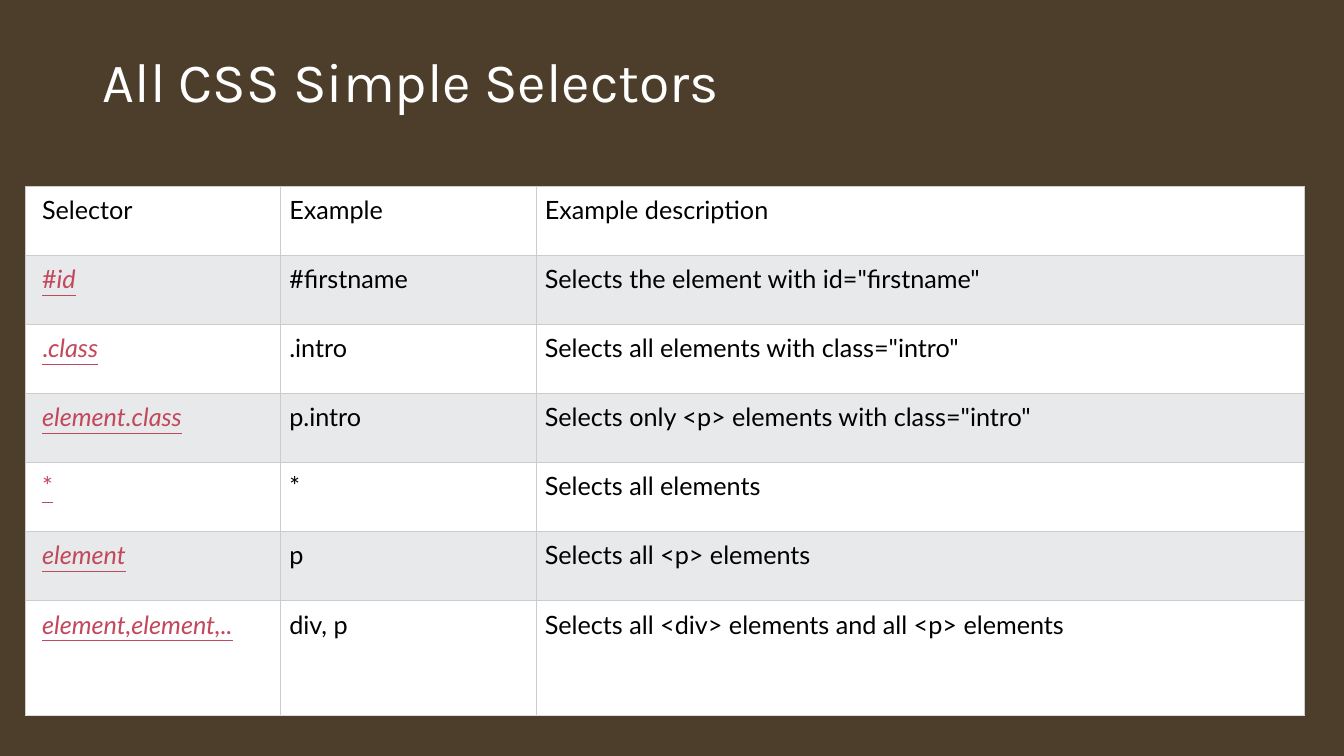
from dataclasses import dataclass

from lxml.etree import SubElement
from pptx import Presentation
from pptx.dml.color import RGBColor
from pptx.enum.shapes import MSO_SHAPE
from pptx.enum.text import MSO_ANCHOR, PP_ALIGN
from pptx.oxml.ns import qn
from pptx.slide import Slide
from pptx.table import _Cell as Cell
from pptx.text.text import _Run as Run
from pptx.util import Cm, Pt

SLIDE_WIDTH = 33.87
SLIDE_HEIGHT = 19.05

BROWN = "4C3E2B"
WHITE = "FFFFFF"
BLACK = "000000"
STRIPE = "E7E9EB"
LINK = "C2485B"
GRID = "CCCCCC"
LAST_EDGE = "DDDDDD"

HEADINGS = ("Selector", "Example", "Example description")
COLUMN_WIDTHS = (6.44, 6.44, 19.36)
ROW_HEIGHT = 1.74
LAST_ROW_HEIGHT = 2.88


@dataclass
class Selector:
    prefix: str
    name: str
    example: str
    description: str


SELECTORS = (
    Selector("#", "id", "#firstname", 'Selects the element with id="firstname"'),
    Selector(".", "class", ".intro", 'Selects all elements with class="intro"'),
    Selector("", "element.class", "p.intro", 'Selects only <p> elements with class="intro"'),
    Selector("*", "", "*", "Selects all elements"),
    Selector("", "element", "p", "Selects all <p> elements"),
    Selector("", "element,element,..", "div, p", "Selects all <div> elements and all <p> elements"),
)


def color(value: str) -> RGBColor:
    return RGBColor.from_string(value)


def format_run(run: Run, font_name: str, size: float, font_color: str) -> None:
    run.font.name = font_name
    run.font.size = Pt(size)
    run.font.color.rgb = color(font_color)


def add_border(cell: Cell, side: str, line_color: str) -> None:
    line = SubElement(cell._tc.get_or_add_tcPr(), qn(f"a:{side}"), w=str(Pt(0.75)))
    fill = SubElement(line, qn("a:solidFill"))
    SubElement(fill, qn("a:srgbClr"), val=line_color)


def format_cell(cell: Cell, left_margin: float, fill_color: str, bottom_color: str) -> None:
    cell.margin_left = Cm(left_margin)
    cell.margin_right = cell.margin_top = cell.margin_bottom = Cm(0.21)
    for side in ("lnL", "lnR", "lnT"):
        add_border(cell, side, GRID)
    add_border(cell, "lnB", bottom_color)
    cell.fill.solid()
    cell.fill.fore_color.rgb = color(fill_color)


def write_text(cell: Cell, text: str) -> None:
    cell.text_frame.text = text
    format_run(cell.text_frame.paragraphs[0].runs[0], "Lato", 18, BLACK)


def write_link(cell: Cell, selector: Selector) -> None:
    paragraph = cell.text_frame.paragraphs[0]
    for text, italic in ((selector.prefix, False), (selector.name, True)):
        if text:
            run = paragraph.add_run()
            run.text = text
            format_run(run, "Lato", 18, LINK)
            run.font.italic = italic
            run.font.underline = True


def add_backdrop(slide: Slide) -> None:
    backdrop = slide.shapes.add_shape(MSO_SHAPE.RECTANGLE, 0, 0, Cm(SLIDE_WIDTH), Cm(SLIDE_HEIGHT))
    backdrop.shadow.inherit = False
    backdrop.fill.solid()
    backdrop.fill.fore_color.rgb = color(BROWN)
    backdrop.line.fill.background()
    slide.shapes.title._element.addprevious(backdrop._element)


def add_title(slide: Slide, text: str) -> None:
    title = slide.shapes.title
    title.left, title.top, title.width, title.height = Cm(2.34), Cm(1.02), Cm(29.21), Cm(3.68)
    frame = title.text_frame
    frame.text = text
    frame.word_wrap = True
    frame.vertical_anchor = MSO_ANCHOR.MIDDLE
    frame.margin_bottom = Cm(1.8)
    paragraph = frame.paragraphs[0]
    paragraph.alignment = PP_ALIGN.LEFT
    format_run(paragraph.runs[0], "Karla", 39.6, WHITE)


def add_selector_table(slide: Slide) -> None:
    row_count = len(SELECTORS) + 1
    heights = [ROW_HEIGHT] * len(SELECTORS) + [LAST_ROW_HEIGHT]
    table = slide.shapes.add_table(
        row_count, len(HEADINGS), Cm(0.64), Cm(4.7), Cm(sum(COLUMN_WIDTHS)), Cm(sum(heights))
    ).table
    for column, width in zip(table.columns, COLUMN_WIDTHS):
        column.width = Cm(width)
    for row_index, (row, height) in enumerate(zip(table.rows, heights)):
        row.height = Cm(height)
        fill_color = STRIPE if row_index % 2 else WHITE
        bottom_color = LAST_EDGE if row_index == row_count - 1 else GRID
        for column_index, cell in enumerate(row.cells):
            format_cell(cell, 0.21 if column_index else 0.42, fill_color, bottom_color)
    for column_index, heading in enumerate(HEADINGS):
        write_text(table.cell(0, column_index), heading)
    for row_index, selector in enumerate(SELECTORS, start=1):
        write_link(table.cell(row_index, 0), selector)
        write_text(table.cell(row_index, 1), selector.example)
        write_text(table.cell(row_index, 2), selector.description)


def main() -> None:
    presentation = Presentation()
    presentation.slide_width = Cm(SLIDE_WIDTH)
    presentation.slide_height = Cm(SLIDE_HEIGHT)
    slide = presentation.slides.add_slide(presentation.slide_layouts[5])
    add_backdrop(slide)
    add_title(slide, "All CSS Simple Selectors")
    add_selector_table(slide)
    presentation.save("out.pptx")


if __name__ == "__main__":
    main()
